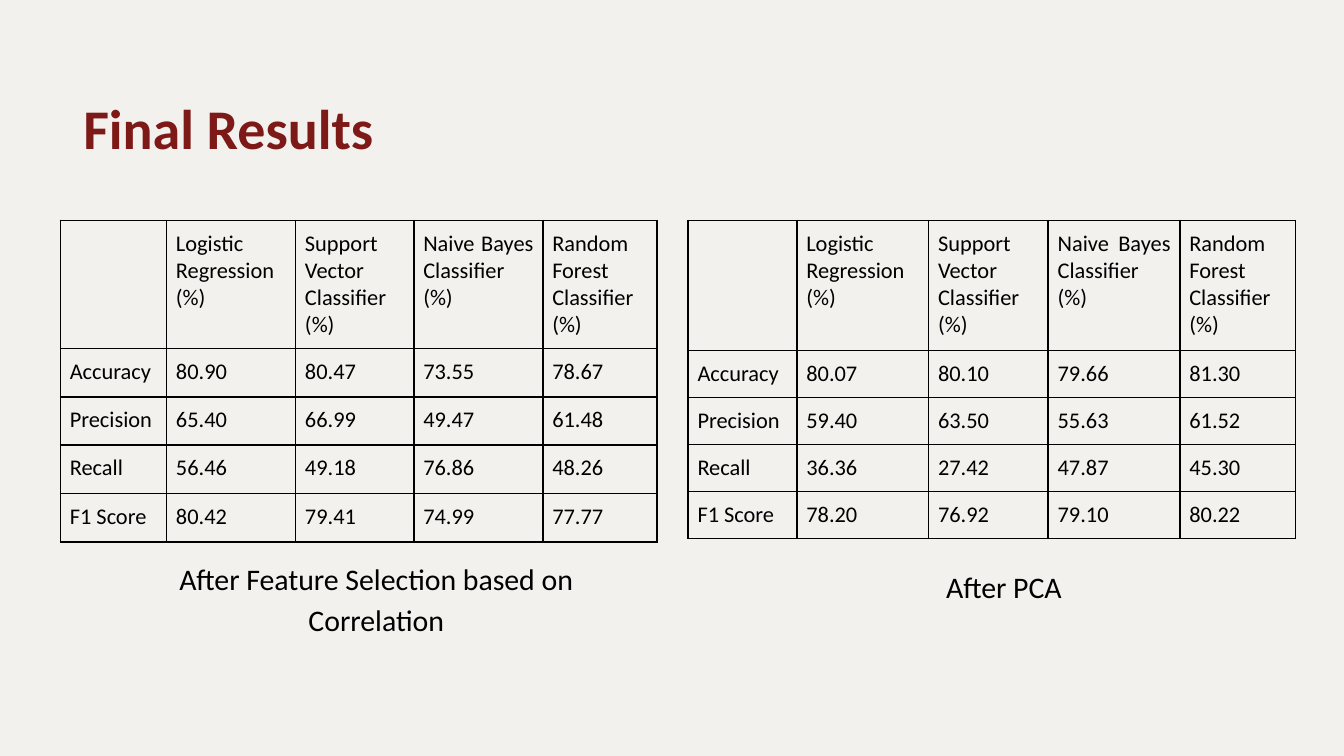
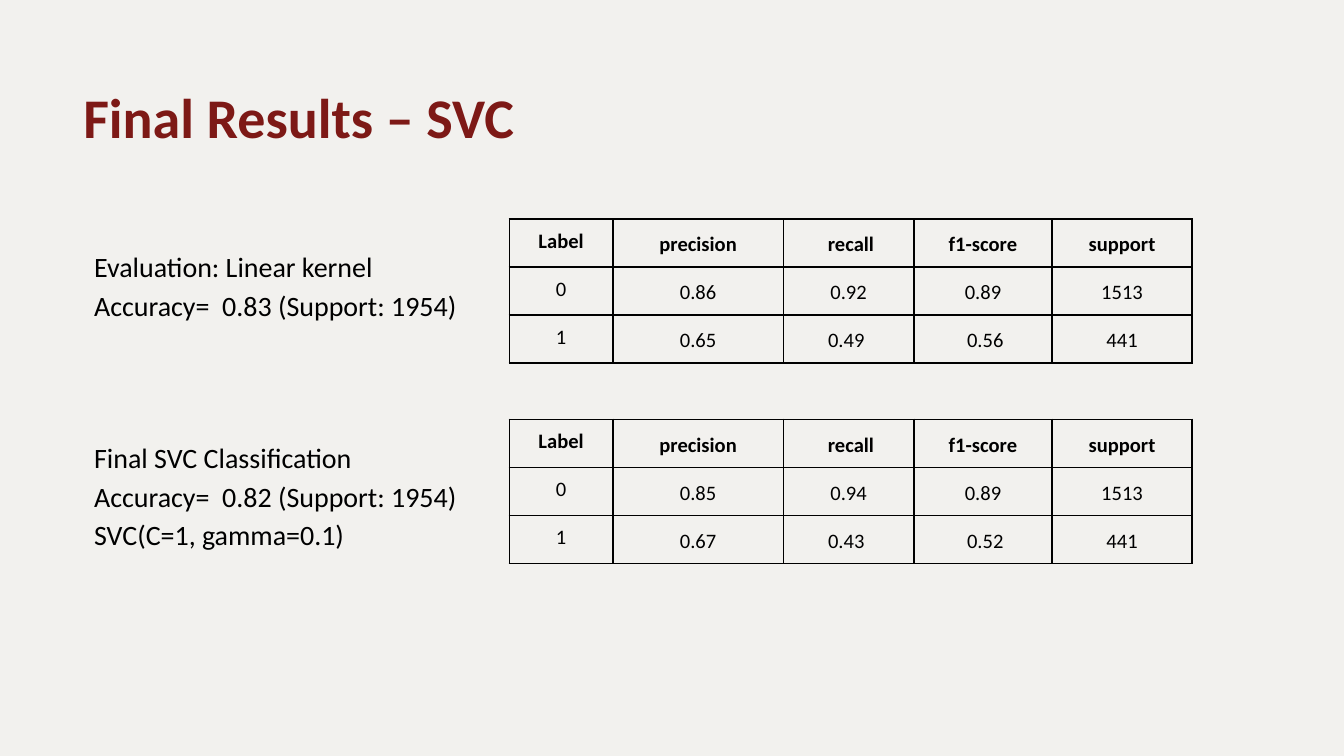
import lxml.etree
import pptx
import pptx.dml.color
import pptx.enum.text
import pptx.oxml.ns
import pptx.util

INK, RED, PAPER = "000000", "7D1916", "F2F1EE"
ALIGN = pptx.enum.text.PP_ALIGN
qn = pptx.oxml.ns.qn

deck = pptx.Presentation()
deck.slide_width = pptx.util.Inches(10)
deck.slide_height = pptx.util.Inches(5.625)
# Lengths below are percentages of the slide's width and height.
COL, ROW = deck.slide_width / 100, deck.slide_height / 100


def write(frame, text, size, color=INK, bold=False, align=ALIGN.LEFT, space=1.0):
    """Fill a text frame, one paragraph per line of text, in one style."""
    frame.text = text
    frame.word_wrap = True
    for para in frame.paragraphs:
        para.alignment, para.line_spacing = align, space
        para.font.name, para.font.size = "Calibri", pptx.util.Pt(size)
        para.font.bold = bold
        para.font.color.rgb = pptx.dml.color.RGBColor.from_string(color)


def add_grid(slide, left, top, widths, heights, data, size, align, space=1.0, strong=False):
    """Add a ruled, unfilled table; strong makes its head bold.

    The first column always has single line spacing.
    """
    grid = slide.shapes.add_table(
        len(heights), len(widths), int(left * COL), int(top * ROW),
        int(sum(widths) * COL), int(sum(heights) * ROW)).table
    grid.first_row = grid.horz_banding = False
    for col, width in zip(grid.columns, widths):
        col.width = int(width * COL)
    for row, height in zip(grid.rows, heights):
        row.height = int(height * ROW)
    inset = pptx.util.Inches(0.07)
    for r, line in enumerate(data):
        for c, text in enumerate(line):
            cell = grid.cell(r, c)
            cell.margin_left = cell.margin_right = inset
            cell.margin_top = cell.margin_bottom = inset
            write(cell.text_frame, text, size, bold=strong and r == 0,
                  align=align, space=space if c else 1.0)
            for side in ("a:lnL", "a:lnR", "a:lnT", "a:lnB"):
                edge = lxml.etree.SubElement(
                    cell._tc.get_or_add_tcPr(), qn(side), w=str(pptx.util.Pt(1)))
                fill = lxml.etree.SubElement(edge, qn("a:solidFill"))
                lxml.etree.SubElement(fill, qn("a:srgbClr"), val=INK)
            cell.fill.background()


# Title, title top, and texts as (left, top, width, height, size, align, spacing, text)
PAGES = [
    ("Final Results", 7.64, [
        (12.6, 72.7, 30.8, 7.64, 16, ALIGN.CENTER, 1.15,
         "After Feature Selection based on Correlation"),
        (61.9, 72.2, 25.6, 7.64, 16, ALIGN.CENTER, 1.5, "After PCA"),
    ]),
    ("Final Results – SVC", 6.22, [
        (6.3, 31.64, 30.8, 12.27, 15, ALIGN.LEFT, 1.15,
         "Evaluation: Linear kernel\vAccuracy=  0.83 (Support: 1954)"),
        (6.3, 56.89, 30.8, 12.27, 15, ALIGN.LEFT, 1.15,
         "Final SVC Classification\nAccuracy=  0.82 (Support: 1954)\nSVC(C=1, gamma=0.1)"),
    ]),
]
slides = []
for name, top, notes in PAGES:
    slide = deck.slides.add_slide(deck.slide_layouts[5])
    slides.append(slide)
    slide.background.fill.solid()
    slide.background.fill.fore_color.rgb = pptx.dml.color.RGBColor.from_string(PAPER)
    title = slide.shapes.title
    title.left, title.top = int(5.5 * COL), int(top * ROW)
    title.width, title.height = int(81.9 * COL), int(14.4 * ROW)
    write(title.text_frame, name, 30, RED, True, space=0.9)
    title.text_frame.vertical_anchor = pptx.enum.text.MSO_ANCHOR.BOTTOM
    frames = [title.text_frame]
    for left, top, width, height, size, align, space, text in notes:
        box = slide.shapes.add_textbox(
            int(left * COL), int(top * ROW), int(width * COL), int(height * ROW))
        write(box.text_frame, text, size, align=align, space=space)
        frames.append(box.text_frame)
    for frame in frames:
        frame.auto_size = pptx.enum.text.MSO_AUTO_SIZE.NONE
        frame.margin_left = frame.margin_right = pptx.util.Inches(0.07)
        frame.margin_top = frame.margin_bottom = pptx.util.Inches(0.04)

MODELS = ["", "Logistic Regression\n(%)", "Support Vector Classifier (%)",
          "Naive Bayes Classifier (%)", "Random Forest Classifier (%)"]
SCORES = ["Accuracy", "Precision", "Recall", "F1 Score"]
for left, widths, head, step, marks in [
    (4.5, [7.9, 9.6, 8.8, 9.6, 8.5], 16.9, 6.4, [
        ["80.90", "80.47", "73.55", "78.67"],
        ["65.40", "66.99", "49.47", "61.48"],
        ["56.46", "49.18", "76.86", "48.26"],
        ["80.42", "79.41", "74.99", "77.77"]]),
    (51.2, [8.1, 9.8, 8.9, 9.8, 8.6], 17.2, 6.22, [
        ["80.07", "80.10", "79.66", "81.30"],
        ["59.40", "63.50", "55.63", "61.52"],
        ["36.36", "27.42", "47.87", "45.30"],
        ["78.20", "76.92", "79.10", "80.22"]]),
]:
    data = [MODELS] + [[score] + line for score, line in zip(SCORES, marks)]
    add_grid(slides[0], left, 29.16, widths, [head] + [step] * 4, data, 12, ALIGN.JUSTIFY)

HEAD = ["Label", "precision", " recall", "f1-score", "support"]
for top, marks in [
    (28.98, [["0", "0.86", "0.92", "0.89", "1513"],
             ["1", "0.65", "0.49 ", " 0.56", "441"]]),
    (55.47, [["0", "0.85", "0.94", "0.89", "1513"],
             ["1", "0.67", "0.43 ", " 0.52", "441"]]),
]:
    add_grid(slides[1], 37.9, top, [7.7, 12.7, 9.7, 10.3, 10.4], [6.35] * 3,
             [HEAD] + marks, 11, ALIGN.CENTER, 1.15, True)

deck.save("out.pptx")
